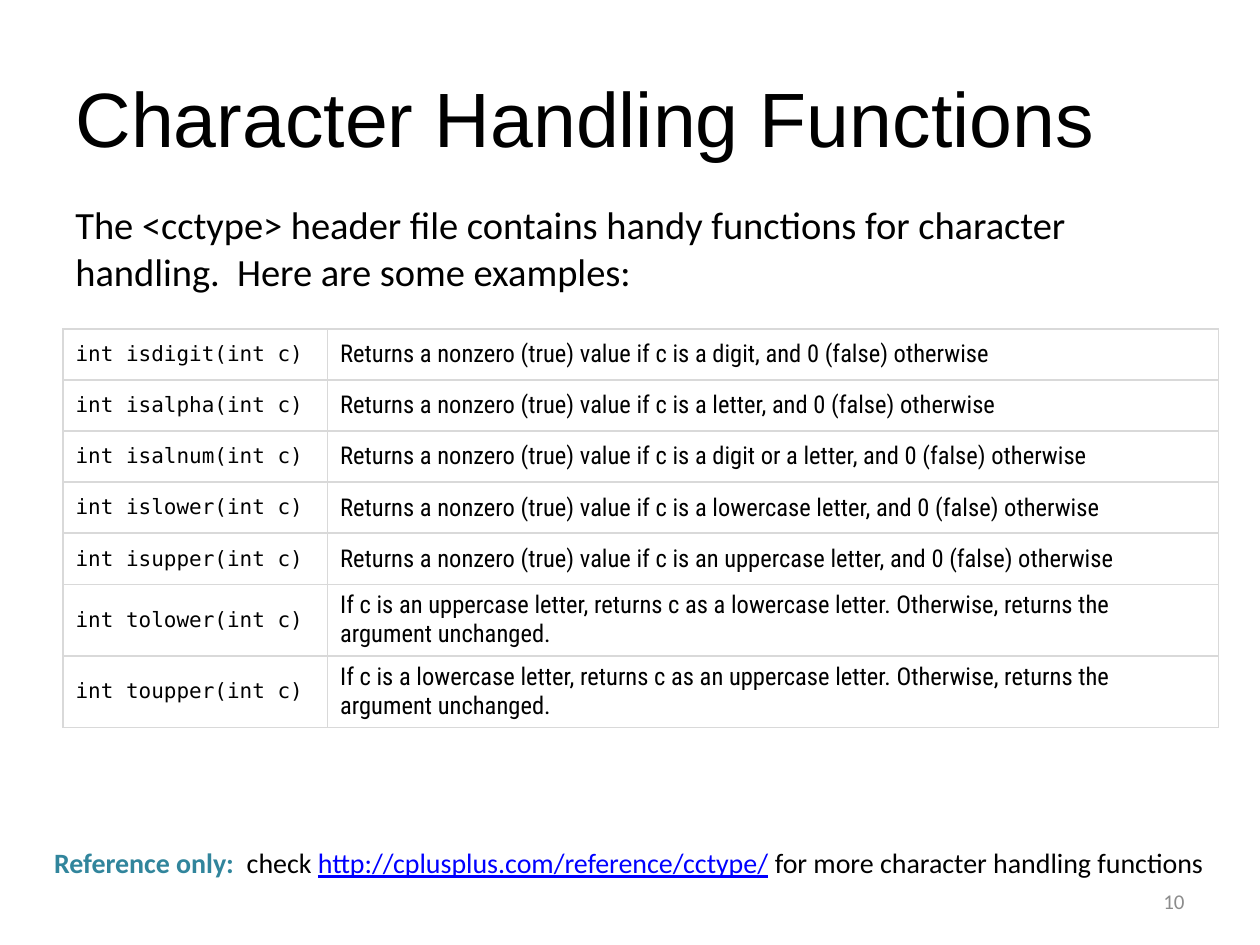
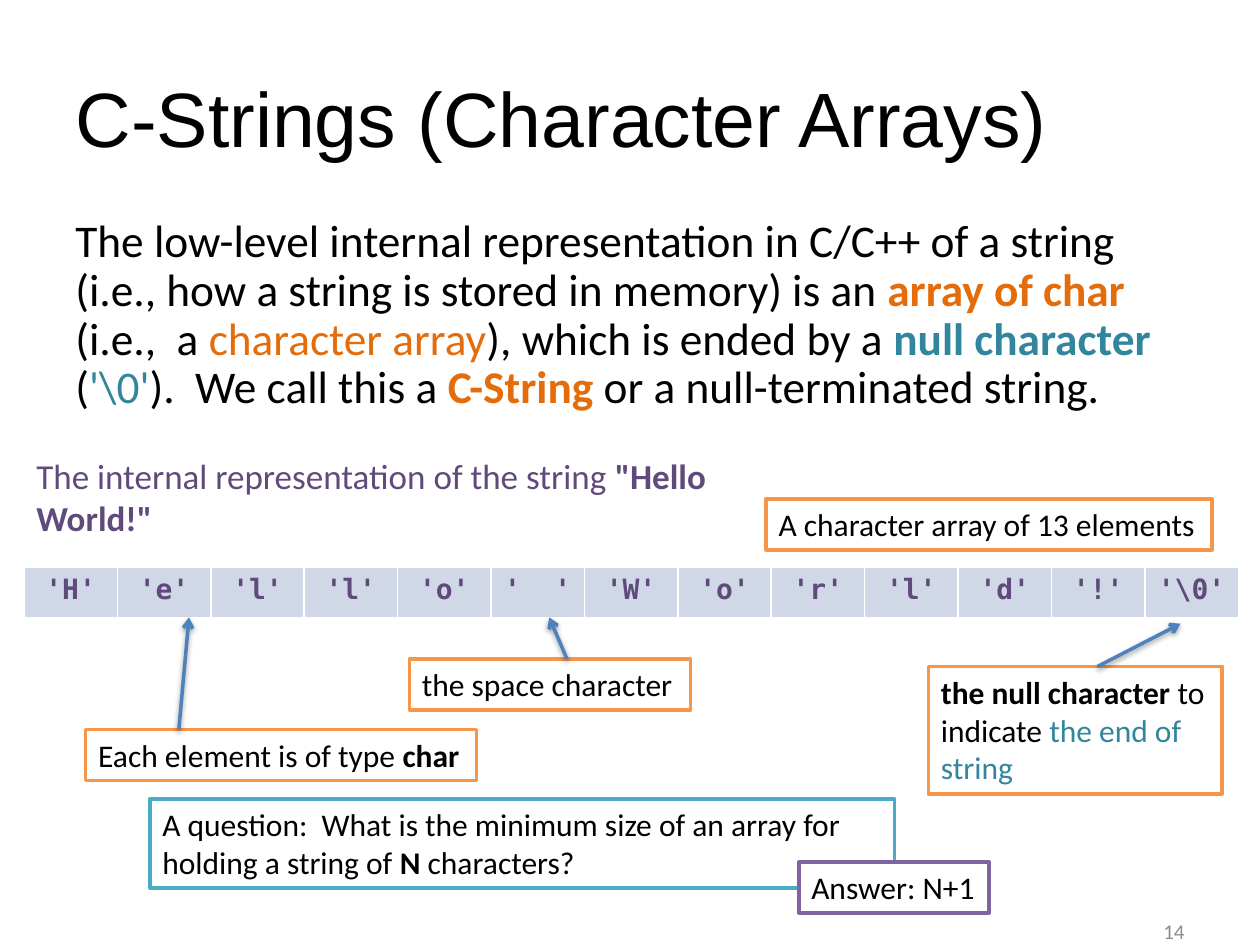
"""Build two lecture slides on character functions and C-strings."""
from dataclasses import dataclass

from lxml import etree
from pptx import Presentation
from pptx.dml.color import RGBColor
from pptx.enum.shapes import MSO_CONNECTOR
from pptx.enum.text import MSO_ANCHOR, MSO_AUTO_SIZE, PP_ALIGN
from pptx.oxml import parse_xml
from pptx.oxml.ns import qn
from pptx.util import Pt

STRAIGHT = MSO_CONNECTOR.STRAIGHT
MIDDLE, TOP = MSO_ANCHOR.MIDDLE, MSO_ANCHOR.TOP
LEFT, CENTER, RIGHT = PP_ALIGN.LEFT, PP_ALIGN.CENTER, PP_ALIGN.RIGHT
NO_AUTOFIT = MSO_AUTO_SIZE.NONE
DRAWING_NS = "http://schemas.openxmlformats.org/drawingml/2006/main"


@dataclass(frozen=True)
class Theme:
    black: str = "000000"
    white: str = "FFFFFF"
    grey: str = "8C8C8C"
    rule: str = "D9D9D9"
    cell: str = "D0D8E8"
    teal: str = "31859C"
    orange: str = "E46C0A"
    purple: str = "604A7B"
    link: str = "0000FF"
    arrow: str = "4F81BD"
    orange_line: str = "F79646"
    aqua_line: str = "4BACC6"
    purple_line: str = "8064A2"
    heading_font: str = "Arial"
    body_font: str = "Calibri"
    code_font: str = "DejaVu Sans Mono"
    table_font: str = "Roboto Condensed"
    title: float = 44
    definition: float = 25.9
    intro: float = 22
    caption: float = 20
    callout: float = 18
    reference: float = 16
    letter: float = 16
    description: float = 14
    signature: float = 12
    number: float = 12


theme = Theme()


def write(frame, runs, size, font=theme.body_font, align=LEFT, anchor=TOP, wrap=True):
    """Fill a text frame or cell with (text, colour, bold) runs."""
    frame.word_wrap = wrap
    frame.vertical_anchor = anchor
    paragraph = frame.paragraphs[0]
    paragraph.alignment = align
    for text, color, bold in runs:
        run = paragraph.add_run()
        run.text = text
        run.font.name = font
        run.font.size = Pt(size)
        run.font.bold = bold
        run.font.underline = color == theme.link
        run.font.color.rgb = RGBColor.from_string(color)
    return paragraph


def format_cell(cell, border, fill, run, size, font, align, anchor):
    """Give a table cell its borders, fill and text."""
    properties = cell._tc.get_or_add_tcPr()
    for side in ("lnL", "lnR", "lnT", "lnB"):
        properties.append(parse_xml(
            f'<a:{side} xmlns:a="{DRAWING_NS}" w="12700"><a:solidFill>'
            f'<a:srgbClr val="{border}"/></a:solidFill></a:{side}>'))
    cell.fill.solid()
    cell.fill.fore_color.rgb = RGBColor.from_string(fill)
    cell.vertical_anchor = anchor
    write(cell.text_frame, [run], size, font, align, anchor)


presentation = Presentation()
presentation.slide_width, presentation.slide_height = Pt(720), Pt(540)
title_only = presentation.slide_layouts[5]

slides = []
for heading, number, number_top in (
    ("Character Handling Functions", "10", 500.4),
    ("C-Strings (Character Arrays)", "14", 517.7),
):
    slide = presentation.slides.add_slide(title_only)
    title = slide.shapes.title
    title.left, title.top, title.width, title.height = Pt(36), Pt(21.6), Pt(648), Pt(90)
    title.text_frame.auto_size = NO_AUTOFIT
    write(title.text_frame, [(heading, theme.black, False)], theme.title,
          theme.heading_font, anchor=MIDDLE)
    page = slide.shapes.add_textbox(Pt(516), Pt(number_top), Pt(168), Pt(28.8))
    write(page.text_frame, [(number, theme.grey, False)], theme.number,
          align=RIGHT, anchor=MIDDLE)
    slides.append(slide)
functions_slide, strings_slide = slides

intro = functions_slide.shapes.add_textbox(Pt(36), Pt(111.6), Pt(648), Pt(70))
write(intro.text_frame, [(
    "The <cctype> header file contains handy functions for character handling.  "
    "Here are some examples:", theme.black, False)], theme.intro)

nonzero = "Returns a nonzero (true) value if c is {}, and 0 (false) otherwise"
convert = "If c is {}, returns c as {}. Otherwise, returns the argument unchanged."
lower, upper = "a lowercase letter", "an uppercase letter"
functions = [
    ("isdigit", nonzero.format("a digit")),
    ("isalpha", nonzero.format("a letter")),
    ("isalnum", nonzero.format("a digit or a letter")),
    ("islower", nonzero.format(lower)),
    ("isupper", nonzero.format(upper)),
    ("tolower", convert.format(upper, lower)),
    ("toupper", convert.format(lower, upper)),
]
function_table = functions_slide.shapes.add_table(
    len(functions), 2, Pt(36), Pt(187.9), Pt(660.2), Pt(204.4)).table
function_table.first_row = function_table.horz_banding = False
function_table.columns[0].width, function_table.columns[1].width = Pt(151.2), Pt(509)
for row, (name, description) in enumerate(functions):
    for column, (text, size, font) in enumerate((
        (f"int {name}(int c)", theme.signature, theme.code_font),
        (description, theme.description, theme.table_font),
    )):
        format_cell(function_table.cell(row, column), theme.rule, theme.white,
                    (text, theme.black, False), size, font, LEFT, MIDDLE)

reference = functions_slide.shapes.add_textbox(Pt(23.8), Pt(479.5), Pt(672.5), Pt(26.6))
write(reference.text_frame, [
    ("Reference only:  ", theme.teal, True),
    ("check ", theme.black, False),
    ("http://cplusplus.com/reference/cctype/", theme.link, False),
    (" for more character handling functions", theme.black, False),
], theme.reference, wrap=False)

definition = strings_slide.shapes.add_textbox(Pt(36), Pt(121), Pt(648), Pt(122.4))
definition_paragraph = write(definition.text_frame, [
    ("The low-level internal representation in C/C++ of a string "
     "(i.e., how a string is stored in memory) is an ", theme.black, False),
    ("array of char ", theme.orange, True),
    ("(i.e.,  a ", theme.black, False),
    ("character array", theme.orange, False),
    ("), which is ended by a ", theme.black, False),
    ("null character ", theme.teal, True),
    ("(", theme.black, False),
    ("'\\0'", theme.teal, False),
    (").  We call this a ", theme.black, False),
    ("C-String", theme.orange, True),
    (" or a null-terminated string.", theme.black, False),
], theme.definition)
definition_paragraph.line_spacing = 0.9

caption = strings_slide.shapes.add_textbox(Pt(13.7), Pt(256.3), Pt(460.8), Pt(31.7))
write(caption.text_frame, [
    ("The internal representation of the string ", theme.purple, False),
    ('"Hello World!"', theme.purple, True),
], theme.caption)

letters = [f"'{letter}'" for letter in ("H", "e", "l", "l", "o", "  ", "W",
                                        "o", "r", "l", "d", "!", "\\0")]
letter_table = strings_slide.shapes.add_table(
    1, len(letters), Pt(13.7), Pt(324), Pt(53.4 * len(letters)), Pt(29.2)).table
letter_table.first_row = letter_table.horz_banding = False
for column, letter in enumerate(letters):
    format_cell(letter_table.cell(0, column), theme.white, theme.cell,
                (letter, theme.purple, True), theme.letter, theme.code_font, CENTER, TOP)

callouts = [
    (437.8, 285.1, 254.9, 29.1, theme.orange_line, False,
     [("A character array of 13 elements", theme.black, False)]),
    (49, 416.9, 223.2, 29.1, theme.orange_line, False,
     [("Each element is of type ", theme.black, False), ("char", theme.black, True)]),
    (234, 376.6, 160.6, 29.1, theme.orange_line, False,
     [("the space character", theme.black, False)]),
    (530.6, 380.9, 167.8, 72.7, theme.orange_line, True,
     [("the null character ", theme.black, True), ("to indicate ", theme.black, False),
      ("the end of string", theme.teal, False)]),
    (85.7, 456.5, 425.5, 50.9, theme.aqua_line, True,
     [("A question:  What is the minimum size of an array for holding a string of ",
       theme.black, False), ("N", theme.black, True), (" characters?", theme.black, False)]),
    (456.5, 492.5, 108.7, 29.1, theme.purple_line, False,
     [("Answer: N+1", theme.black, False)]),
]
for left, top, width, height, outline, wrap, runs in callouts:
    callout = strings_slide.shapes.add_textbox(Pt(left), Pt(top), Pt(width), Pt(height))
    callout.fill.solid()
    callout.fill.fore_color.rgb = RGBColor.from_string(theme.white)
    callout.line.color.rgb = RGBColor.from_string(outline)
    callout.line.width = Pt(2)
    write(callout.text_frame, runs, theme.callout, wrap=wrap)

for start_x, start_y, end_x, end_y in (
    (102.2, 416.9, 108, 352.8),
    (324, 376.6, 313.9, 352.8),
    (627.1, 380.9, 674.6, 356.4),
):
    arrow = strings_slide.shapes.add_connector(
        STRAIGHT, Pt(start_x), Pt(start_y), Pt(end_x), Pt(end_y))
    arrow.line.color.rgb = RGBColor.from_string(theme.arrow)
    arrow.line.width = Pt(2)
    etree.SubElement(arrow.line._get_or_add_ln(), qn("a:tailEnd"), type="arrow")
    effects = etree.SubElement(arrow._element.spPr, qn("a:effectLst"))
    shadow = etree.SubElement(effects, qn("a:outerShdw"), blurRad=str(Pt(3.1)),
                              dist=str(Pt(1.6)), dir="5400000", rotWithShape="0")
    shadow_color = etree.SubElement(shadow, qn("a:srgbClr"), val=theme.black)
    etree.SubElement(shadow_color, qn("a:alpha"), val="38000")

presentation.save("out.pptx")
